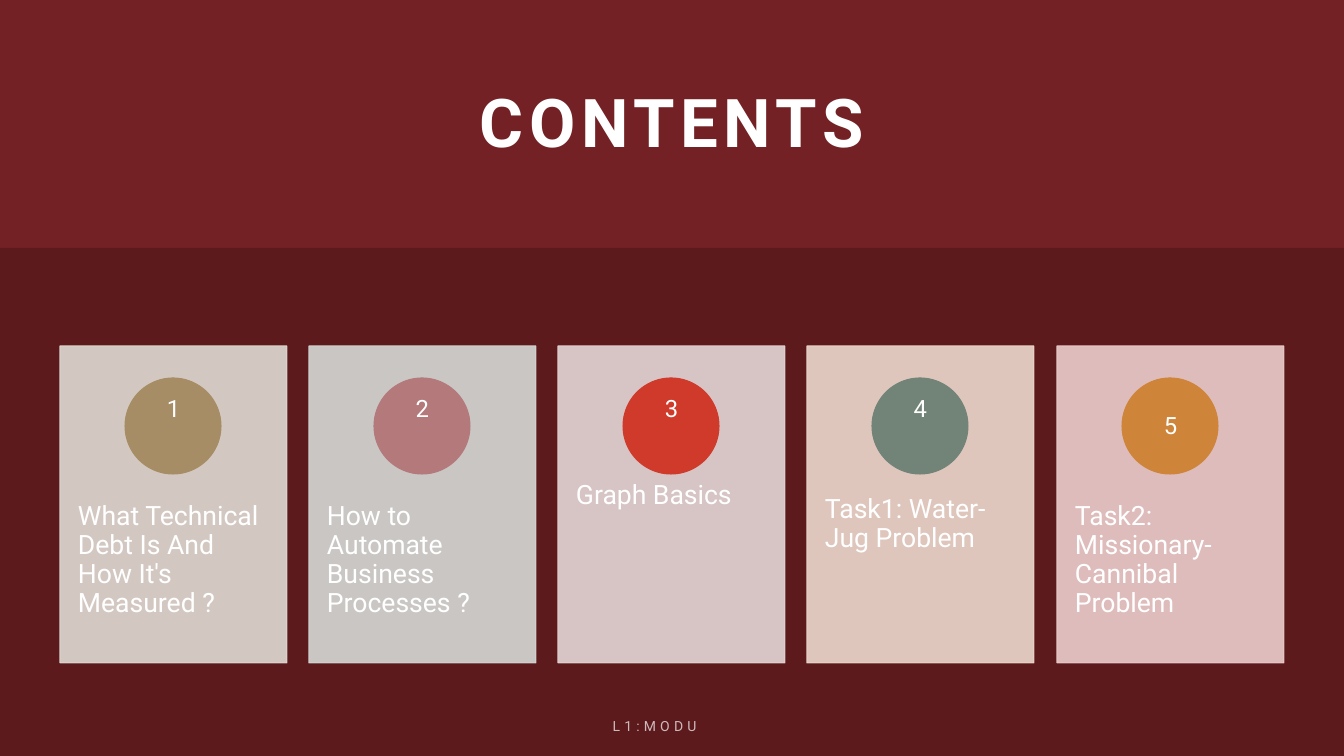
from lxml.etree import SubElement
from pptx import Presentation
from pptx.dml.color import RGBColor
from pptx.enum.shapes import MSO_SHAPE
from pptx.enum.text import MSO_ANCHOR, PP_ALIGN
from pptx.oxml.ns import qn
from pptx.util import Emu, Pt

SLIDE_W, SLIDE_H = 1344, 756
FONT = "Roboto"

CARD_TOP, CARD_W, CARD_H = 346, 227, 317
CIRCLE, NUMBER_BOX = 96, 67

# Caption, card colour, circle colour, upward shift of the number
CARDS = [
    ("What Technical Debt Is And How It's Measured ?", "E1DBD3", "A68D65", 17),
    ("How to Automate Business Processes ?", "D5D9D6", "B4797B", 17),
    ("Graph Basics", "E5D7D7", "CF3A2A", 17),
    ("Task1: Water-Jug Problem", "EDD9CE", "728377", 17),
    ("Task2: Missionary-Cannibal Problem", "EDCECD", "CE8439", 0),
]


def px(n):
    return Emu(round(n * 12192000 / SLIDE_W))


def paint(fill, color, alpha=100):
    """Make a fill solid, with its opacity in percent."""
    fill.solid()
    fill.fore_color.rgb = RGBColor.from_string(color)
    if alpha < 100:
        for clr in fill._xPr.iter(qn("a:srgbClr")):
            SubElement(clr, qn("a:alpha"), val=str(alpha * 1000))


def add_block(s, kind, x, y, w, h, color, alpha=100, outline=True):
    sp = s.shapes.add_shape(kind, px(x), px(y), px(w), px(h))
    sp.shadow.inherit = False
    paint(sp.fill, color, alpha)
    if outline:
        sp.line.width = Pt(0.75)
        paint(sp.line.fill, color, alpha)
    else:
        sp.line.fill.background()


def add_text(s, text, x, y, w, h, *, size, bold=False, align=PP_ALIGN.CENTER,
             anchor=MSO_ANCHOR.MIDDLE, inset=(0, 0), leading=1.0,
             tracking=0, alpha=100):
    tf = s.shapes.add_textbox(px(x), px(y), px(w), px(h)).text_frame
    tf.word_wrap = True
    tf.vertical_anchor = anchor
    tf.margin_left = tf.margin_right = px(inset[0])
    tf.margin_top = tf.margin_bottom = px(inset[1])
    p = tf.paragraphs[0]
    p.alignment = align
    p.line_spacing = leading
    r = p.add_run()
    r.text = text
    r.font.name = FONT
    r.font.size = Pt(size)
    r.font.bold = bold
    paint(r.font.fill, "FFFFFF", alpha)
    if tracking:
        r.font._element.set("spc", str(tracking * 100))


def add_card(s, number, x, caption, color, circle_color, shift):
    add_block(s, MSO_SHAPE.RECTANGLE, x, CARD_TOP, CARD_W, CARD_H, color, 90)
    add_text(s, caption, x, CARD_TOP + 121, CARD_W, 190, size=19, leading=0.9,
             align=PP_ALIGN.LEFT, anchor=MSO_ANCHOR.TOP, inset=(18, 36))
    center_x, center_y = x + CARD_W // 2, CARD_TOP + 80
    add_block(s, MSO_SHAPE.OVAL, center_x - CIRCLE // 2, center_y - CIRCLE // 2,
              CIRCLE, CIRCLE, circle_color)
    add_text(s, str(number), center_x - NUMBER_BOX // 2,
             center_y - NUMBER_BOX // 2 - shift, NUMBER_BOX, NUMBER_BOX,
             size=17, leading=0.9, inset=(7, 1))


def main():
    prs = Presentation()
    prs.slide_width, prs.slide_height = px(SLIDE_W), px(SLIDE_H)
    s = prs.slides.add_slide(prs.slide_layouts[6])

    # Background and lower band
    paint(s.background.fill, "732124")
    add_block(s, MSO_SHAPE.RECTANGLE, 0, 248, SLIDE_W, SLIDE_H - 248,
              "5C1A1D", outline=False)

    # Title
    add_text(s, "CONTENTS", 119, 59, 1106, 124, size=48, bold=True, tracking=4)

    # Row of cards, spread evenly between the side margins
    span = SLIDE_W - 2 * 60 - CARD_W
    for i, card in enumerate(CARDS):
        add_card(s, i + 1, 60 + i * span // (len(CARDS) - 1), *card)

    # Footer
    add_text(s, "L1:MODULE4", 365, 706, 615, 40, size=10, tracking=3, alpha=70)

    prs.save("out.pptx")


if __name__ == "__main__":
    main()
